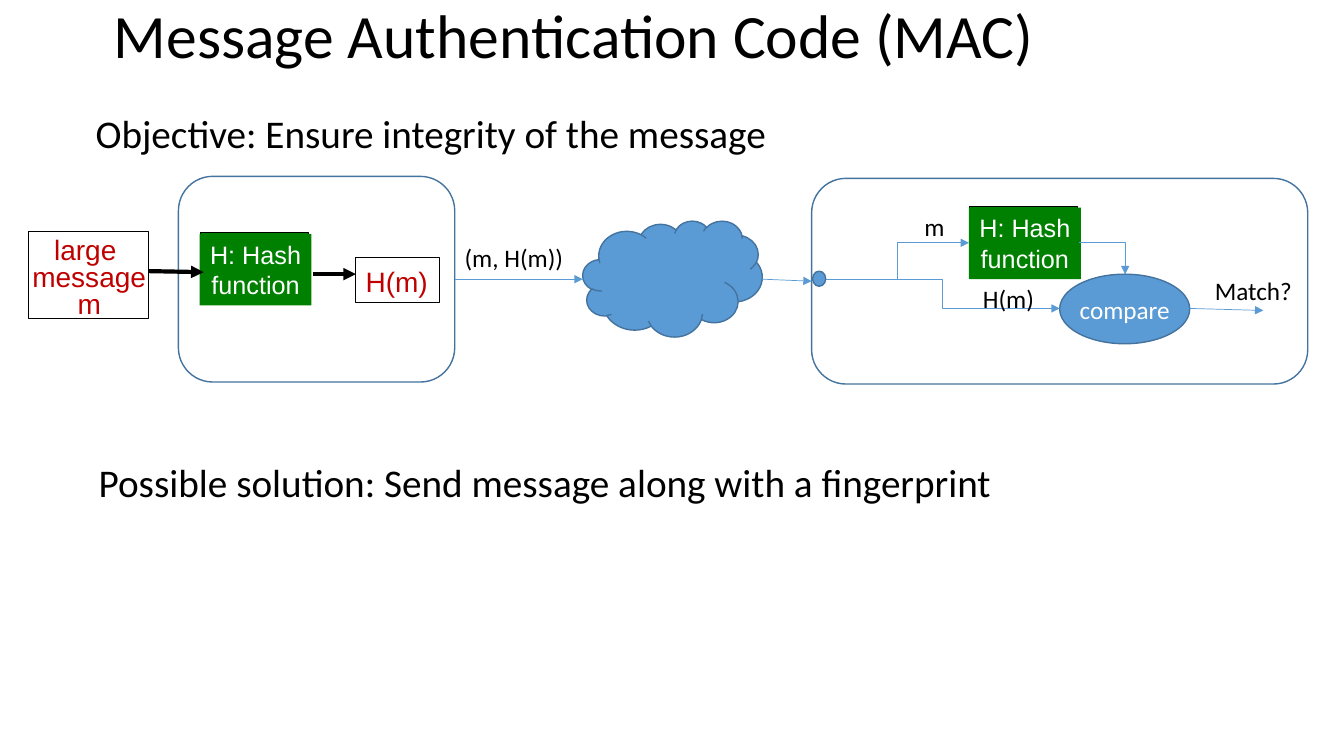
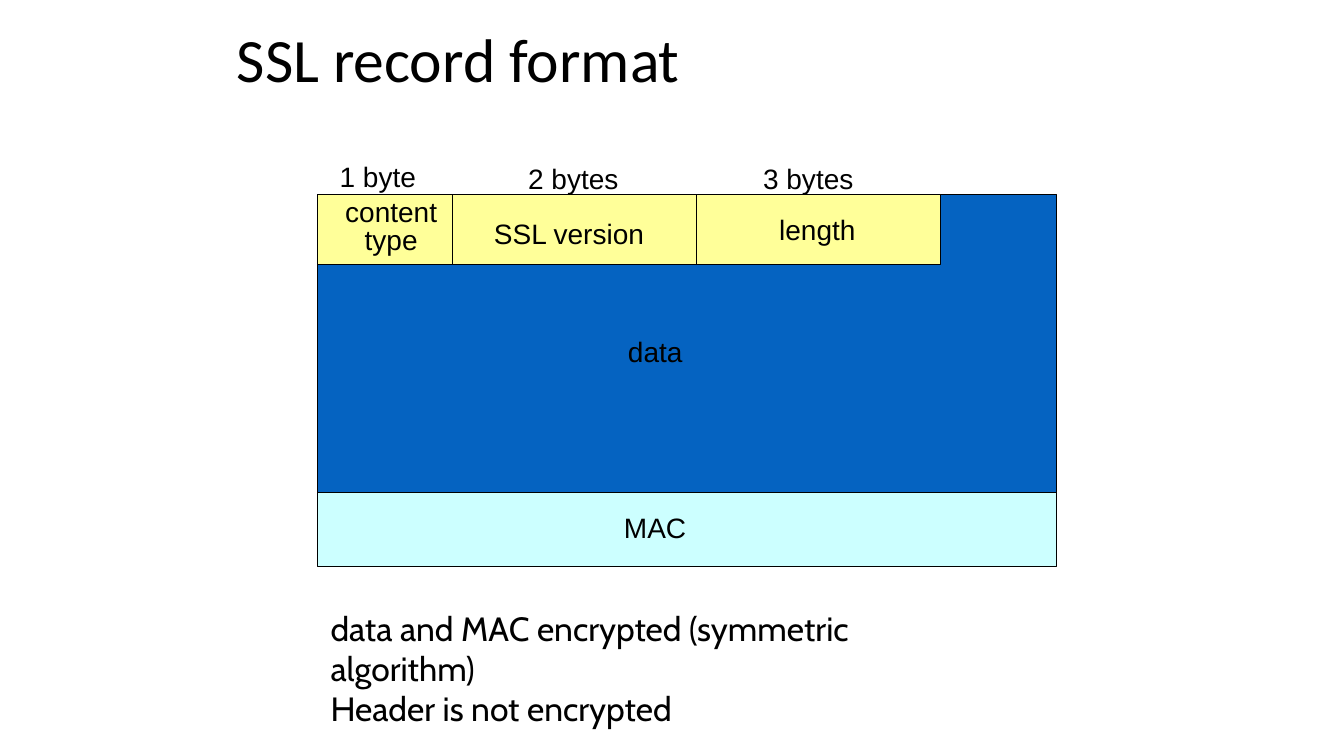
from pptx import Presentation
from pptx.dml.color import RGBColor
from pptx.enum.shapes import MSO_CONNECTOR as Link, MSO_SHAPE as Shape
from pptx.enum.text import MSO_ANCHOR as Anchor, PP_ALIGN as Align
from pptx.oxml.ns import qn
from pptx.util import Inches, Pt
from lxml import etree

COLORS = {
    "black": "000000", "white": "FFFFFF", "red": "C00000", "green": "008000",
    "blue": "5B9BD5", "outline": "43739E", "data": "0563C1",
    "header": "FFFF99", "mac": "CCFFFF",
}
TITLE = {"size": 44, "spacing": 0.9, "anchor": Anchor.MIDDLE, "wrap": True}
HEADING = {"size": 28}
ARIAL = {"font": "Arial", "size": 20}
RED_CENTER = {**ARIAL, "color": "red", "align": Align.CENTER, "wrap": True}
HASH = {"font": "Arial", "color": "white", "align": Align.CENTER}


def draw(page, kind, place, fill=None, line=None, weight=0.75):
    """Add a preset shape; a fill or line of None stays empty."""
    shape = page.shapes.add_shape(kind, *map(Inches, place))
    shape.shadow.inherit = False
    if fill:
        shape.fill.solid()
        shape.fill.fore_color.rgb = RGBColor.from_string(COLORS[fill])
    else:
        shape.fill.background()
    if line:
        shape.line.color.rgb = RGBColor.from_string(COLORS[line])
        shape.line.width = Pt(weight)
    else:
        shape.line.fill.background()
    return shape


def write(holder, text, font="Calibri", size=18, color="black", align=Align.LEFT,
          spacing=None, anchor=Anchor.TOP, wrap=False):
    """Fill a shape or text box, one paragraph per line of text."""
    frame = holder.text_frame
    frame.word_wrap = wrap
    frame.vertical_anchor = anchor
    for number, words in enumerate(text.split("\n")):
        para = frame.add_paragraph() if number else frame.paragraphs[0]
        para.alignment = align
        para.line_spacing = spacing
        span = para.add_run()
        span.text = words
        for name, value in {"name": font, "size": Pt(size)}.items():
            setattr(span.font, name, value)
        span.font.color.rgb = RGBColor.from_string(COLORS[color])


deck = Presentation()
deck.slide_width, deck.slide_height = Inches(13.33), Inches(7.5)
mac_page, record_page = [deck.slides.add_slide(deck.slide_layouts[6]) for _ in range(2)]

# Message authentication: boxes of the sender, the network and the receiver
draw(mac_page, Shape.RECTANGLE, (3.53, 2.55, 0.83, 0.45), "white", "black")
draw(mac_page, Shape.RECTANGLE, (0.28, 2.3, 1.19, 0.86), "white", "black")
sender, receiver = [
    draw(mac_page, Shape.ROUNDED_RECTANGLE, place, None, "outline", 1)
    for place in [(1.77, 1.75, 2.74, 2.04), (8.05, 1.77, 4.92, 2.04)]
]
for left, top in [(1.98, 2.32), (9.61, 2.06)]:
    draw(mac_page, Shape.RECTANGLE, (left + 0.01, top - 0.01, 1.07, 0.69), "green", "black")
    hash_box = draw(mac_page, Shape.RECTANGLE, (left, top, 1.11, 0.71), "green")
    write(hash_box, "H: Hash\nfunction", **HASH)
draw(mac_page, Shape.CLOUD, (5.78, 2.19, 1.78, 1.15), "blue", "outline", 1)
draw(mac_page, Shape.OVAL, (8.06, 2.69, 0.13, 0.15), "blue", "outline", 1)
compare = draw(mac_page, Shape.OVAL, (10.51, 2.72, 1.29, 0.69), "blue", "outline", 1)
write(compare, "compare", color="white", align=Align.CENTER, anchor=Anchor.MIDDLE)
for side in ("left", "top", "right", "bottom"):
    setattr(compare.text_frame, f"margin_{side}", 0)

# Arrows: preset, from, to, colour, weight
arrows = [
    ("line", (1.48, 2.69), (2.02, 2.7), "black", 3),
    ("line", (3.1, 2.72), (3.53, 2.72), "black", 3),
    ("line", (4.51, 2.77), (5.78, 2.77), "blue", 0.5),
    ("line", (7.56, 2.77), (8.06, 2.77), "blue", 0.5),
    ("line", (11.8, 3.06), (12.53, 3.08), "blue", 0.5),
    ("bentConnector2", (10.7, 2.4), (11.16, 2.72), "blue", 0.5),
    ("bentConnector3", (8.19, 2.77), (9.61, 2.41), "blue", 0.5),
    ("bentConnector3", (8.19, 2.77), (10.51, 3.06), "blue", 0.5),
]
links = []
for preset, start, end, color, weight in arrows:
    kind = Link.STRAIGHT if preset == "line" else Link.ELBOW
    link = mac_page.shapes.add_connector(kind, *map(Inches, start + end))
    link.line.color.rgb = RGBColor.from_string(COLORS[color])
    link.line.width = Pt(weight)
    properties = link._element.spPr
    properties.find(qn("a:prstGeom")).set("prst", preset)
    etree.SubElement(properties.find(qn("a:ln")), qn("a:tailEnd"), type="triangle")
    etree.SubElement(properties, qn("a:effectLst"))
    links.append(link)
links[2].begin_connect(sender, 3)
links[3].end_connect(receiver, 1)

# SSL record: data block, header fields and MAC
record_left, record_top, record_width = 3.15, 1.93, 7.33
draw(record_page, Shape.RECTANGLE, (record_left, record_top, record_width, 3.13), "data", "black")
field_left = record_left
for field_width in (1.34, 2.42, 2.42):
    draw(record_page, Shape.RECTANGLE, (field_left, record_top, field_width, 0.69),
         "header", "black")
    field_left += field_width
draw(record_page, Shape.RECTANGLE, (record_left, 4.89, record_width, 0.73), "mac", "black")

# Titles and labels of both pages
labels = [
    (mac_page, (1.03, 0, 11.5, 0.77), "Message Authentication Code (MAC)", TITLE),
    (mac_page, (0.85, 1.04, 7.01, 0.57), "Objective: Ensure integrity of the message", HEADING),
    (mac_page, (0.88, 4.5, 9.15, 0.57),
     "Possible solution: Send message along with a fingerprint", HEADING),
    (mac_page, (0.15, 2.32, 1.47, 0.9), "large \nmessage\nm", {**RED_CENTER, "spacing": 0.8}),
    (mac_page, (3.47, 2.57, 0.93, 0.43), "H(m)", RED_CENTER),
    (mac_page, (4.51, 2.36, 1.19, 0.4), "(m, H(m))", {}),
    (mac_page, (9.07, 2.05, 0.4, 0.4), "m", {}),
    (mac_page, (9.65, 2.76, 0.72, 0.4), "H(m)", {}),
    (mac_page, (11.95, 2.68, 0.97, 0.4), "Match?", {}),
    (record_page, (2.25, 0, 8.5, 1.25), "SSL record format", TITLE),
    (record_page, (3.27, 1.53, 0.97, 0.44), "1 byte", ARIAL),
    (record_page, (5.14, 1.55, 1.1, 0.44), "2 bytes", ARIAL),
    (record_page, (7.47, 1.55, 1.1, 0.44), "3 bytes", ARIAL),
    (record_page, (3.32, 1.94, 1.12, 0.66), "content\ntype",
     {**ARIAL, "align": Align.CENTER, "spacing": Pt(20)}),
    (record_page, (4.8, 2.1, 1.7, 0.44), "SSL version", ARIAL),
    (record_page, (7.63, 2.06, 0.97, 0.44), "length", ARIAL),
    (record_page, (6.13, 3.27, 0.75, 0.44), "data", ARIAL),
    (record_page, (6.09, 5.02, 0.83, 0.44), "MAC", ARIAL),
    (record_page, (3.18, 5.98, 6.75, 0.91),
     "data and MAC encrypted (symmetric algorithm)\nHeader is not encrypted",
     {"font": "Cabin", "size": 24, "wrap": True}),
]
for page, place, text, style in labels:
    write(page.shapes.add_textbox(*map(Inches, place)), text, **style)

deck.save("out.pptx")
